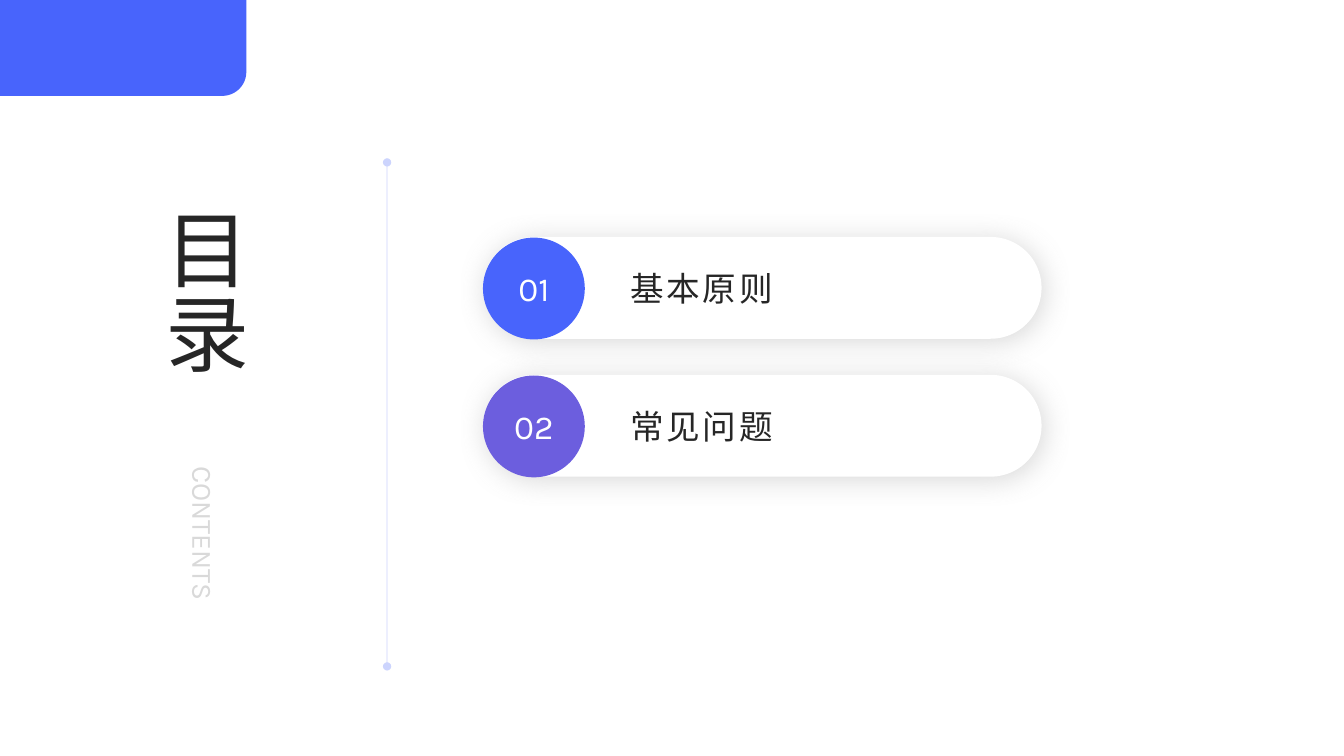
from dataclasses import dataclass

from lxml import etree
from pptx import Presentation
from pptx.dml.color import RGBColor
from pptx.enum.shapes import MSO_CONNECTOR, MSO_SHAPE
from pptx.enum.text import MSO_ANCHOR, PP_ALIGN
from pptx.oxml.ns import qn
from pptx.util import Pt

STRAIGHT = MSO_CONNECTOR.STRAIGHT
OVAL = MSO_SHAPE.OVAL
PILL = MSO_SHAPE.ROUNDED_RECTANGLE
CORNER = MSO_SHAPE.ROUND_1_RECTANGLE
MIDDLE = MSO_ANCHOR.MIDDLE
LEFT, CENTER, JUSTIFY = PP_ALIGN.LEFT, PP_ALIGN.CENTER, PP_ALIGN.JUSTIFY


@dataclass(frozen=True)
class Theme:
    """Colours, font and type sizes of the deck."""
    font: str = "Karla"
    blue: str = "4864FC"
    violet: str = "6C5EDE"
    rule: str = "002AF9"
    ink: str = "262626"
    pale: str = "D9D9D9"
    white: str = "FFFFFF"
    shadow: str = "808080"
    title_size: int = 60
    item_size: int = 24
    caption_size: int = 20


def add_child(parent, tag, **attributes):
    """Append a DrawingML element and return it."""
    return etree.SubElement(parent, qn(tag), attributes)


class ContentsSlide:
    """Draws elements on one slide in one theme."""

    def __init__(self, slide, theme):
        self.shapes = slide.shapes
        self.theme = theme

    def block(self, kind, left, top, width, height, color):
        """Add a filled shape without outline or shadow."""
        shape = self.shapes.add_shape(kind, Pt(left), Pt(top), Pt(width), Pt(height))
        shape.shadow.inherit = False
        shape.fill.solid()
        shape.fill.fore_color.rgb = RGBColor.from_string(color)
        shape.line.fill.background()
        return shape

    def corner(self, left, top, width, height):
        """Add the block with a rounded bottom right corner."""
        shape = self.block(CORNER, left, top, width, height, self.theme.blue)
        shape.adjustments[0] = 0.25
        shape.element.spPr.find(qn("a:xfrm")).set("flipV", "1")

    def pill(self, left, top, width, height):
        """Add a white pill with a soft shadow."""
        shape = self.block(PILL, left, top, width, height, self.theme.white)
        shape.adjustments[0] = 0.5
        effects = shape.element.spPr.find(qn("a:effectLst"))
        shadow = add_child(effects, "a:outerShdw", blurRad=str(Pt(20)), dist=str(Pt(3)),
                           dir="2700000", algn="ctr", rotWithShape="0")
        color = add_child(shadow, "a:srgbClr", val=self.theme.shadow)
        add_child(color, "a:alpha", val="30000")

    def rule(self, left, top, bottom):
        """Add a faint vertical line with round ends."""
        line = self.shapes.add_connector(STRAIGHT, Pt(left), Pt(top), Pt(left), Pt(bottom))
        line.line.width = Pt(0.5)
        line.line.color.rgb = RGBColor.from_string(self.theme.rule)
        outline = line.element.spPr.find(qn("a:ln"))
        add_child(outline.find(".//" + qn("a:srgbClr")), "a:alpha", val="20000")
        add_child(outline, "a:headEnd", type="oval")
        add_child(outline, "a:tailEnd", type="oval")
        add_child(line.element.spPr, "a:effectLst")

    def set_text(self, shape, text, size, color, alignment):
        """Set one styled line of text, centred in height."""
        frame = shape.text_frame
        frame.text = text
        frame.word_wrap = True
        frame.vertical_anchor = MIDDLE
        paragraph = frame.paragraphs[0]
        paragraph.alignment = alignment
        run = paragraph.runs[0]
        run.font.name = self.theme.font
        run.font.size = Pt(size)
        run.font.color.rgb = RGBColor.from_string(color)
        return run

    def vertical_text(self, left, top, width, height, text, size, color, alignment):
        """Add text that runs downwards."""
        box = self.shapes.add_textbox(Pt(left), Pt(top), Pt(width), Pt(height))
        self.set_text(box, text, size, color, alignment)
        box.element.find(".//" + qn("a:bodyPr")).set("vert", "eaVert")

    def badge(self, left, top, size, number, color):
        """Add a numbered circle."""
        circle = self.block(OVAL, left, top, size, size, color)
        self.set_text(circle, number, self.theme.item_size, self.theme.white, CENTER)
        frame = circle.text_frame
        frame.margin_left = frame.margin_right = frame.margin_top = frame.margin_bottom = 0

    def label(self, left, top, width, height, text):
        """Add a widely spaced item name."""
        box = self.shapes.add_textbox(Pt(left), Pt(top), Pt(width), Pt(height))
        self.set_text(box, text, self.theme.item_size, self.theme.ink, LEFT)
        box.element.find(".//" + qn("a:rPr")).set("spc", "200")
        box.text_frame.margin_top = box.text_frame.margin_bottom = 0

    def item(self, top, number, text, color):
        """Add one row of the contents list."""
        left, height = 345, 72.75
        self.pill(left, top, 399, height)
        self.badge(left, top + 0.5, height, number, color)
        self.label(443, top + 0.5, 302, height, text)


def main():
    """Build and save the contents slide."""
    theme = Theme()
    presentation = Presentation()
    presentation.slide_width, presentation.slide_height = Pt(960), Pt(540)
    page = ContentsSlide(presentation.slides.add_slide(presentation.slide_layouts[6]), theme)
    page.rule(276.5, 116, 476)
    page.corner(-1, 0, 177, 68.5)
    page.vertical_text(91.5, 326, 108, 153.5, "CONTENTS", theme.caption_size, theme.pale, JUSTIFY)
    page.vertical_text(92, 141, 108, 167, "目录", theme.title_size, theme.ink, LEFT)
    items = [("01", "基本原则", theme.blue), ("02", "常见问题", theme.violet)]
    for index, (number, text, color) in enumerate(items):
        page.item(169.25 + 98.5 * index, number, text, color)
    presentation.save("out.pptx")


if __name__ == "__main__":
    main()
